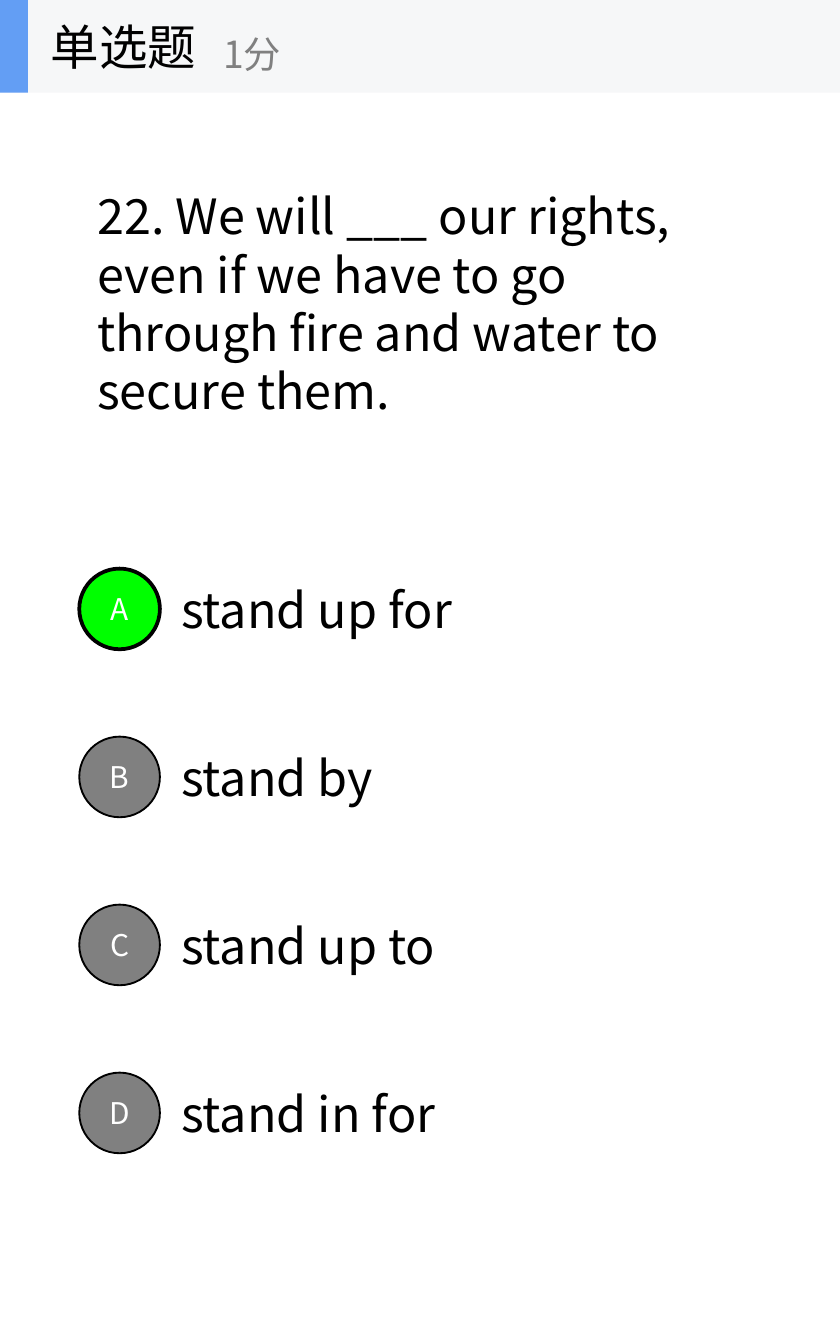
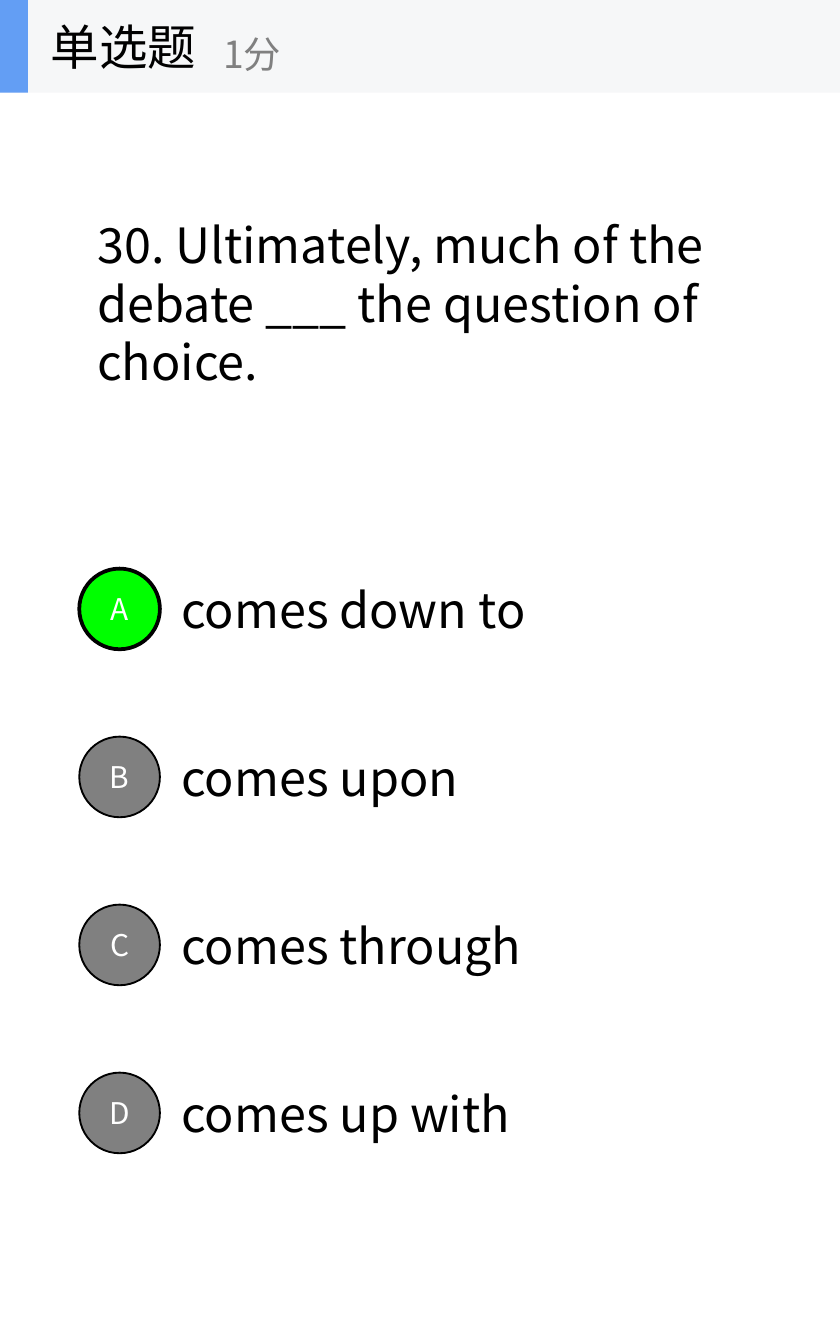
from pptx import Presentation
from pptx.dml.color import RGBColor
from pptx.enum import shapes, text
from pptx.oxml.ns import qn
from pptx.util import Inches, Pt

WIDTH, HEIGHT = 6.25, 10
COLUMN, ROW = WIDTH / 10, HEIGHT / 32
BAND = 0.69
BADGE = 0.6
FONT = "Noto Sans CJK SC"
BLACK, WHITE, GRAY = "000000", "FFFFFF", "808080"
BAND_FILL, ACCENT, CORRECT = "F6F7F8", "639EF4", "00FF00"

QUESTIONS = [
    ("22. We will ___ our rights, even if we have to go through fire and water to secure them.",
     ["stand up for", "stand by", "stand up to", "stand in for"]),
    ("30. Ultimately, much of the debate ___ the question of choice.",
     ["comes down to", "comes upon", "comes through", "comes up with"]),
]


def color(value):
    """Turn a hex string into a colour."""
    return RGBColor.from_string(value)


def write(shape, words, size, ink, align=text.PP_ALIGN.LEFT):
    """Put one vertically centred paragraph into a shape."""
    frame = shape.text_frame
    frame.word_wrap = True
    frame.vertical_anchor = text.MSO_ANCHOR.MIDDLE
    paragraph = frame.paragraphs[0]
    paragraph.alignment = align
    run = paragraph.add_run()
    run.text = words
    run.font.size = Pt(size)
    run.font.name = FONT
    run.font.color.rgb = color(ink)
    east_asian = run.font._element.makeelement(qn("a:ea"), {"typeface": FONT})
    run.font._element.append(east_asian)


def add_label(parent, box, words, size=26, ink=BLACK):
    """Add a text box."""
    shape = parent.shapes.add_textbox(*map(Inches, box))
    write(shape, words, size, ink)


def add_solid(parent, kind, box, fill, line_width=0):
    """Add a filled preset shape, outlined in black when a line width is given."""
    shape = parent.shapes.add_shape(kind, *map(Inches, box))
    shape.shadow.inherit = False
    shape.fill.solid()
    shape.fill.fore_color.rgb = color(fill)
    if line_width:
        shape.line.color.rgb = color(BLACK)
        shape.line.width = Pt(line_width)
    else:
        shape.line.fill.background()
    return shape


def add_header(slide):
    """Add the grouped band with question type and score."""
    group = slide.shapes.add_group_shape()
    rectangle = shapes.MSO_SHAPE.RECTANGLE
    add_solid(group, rectangle, (0, 0, WIDTH, BAND), BAND_FILL)
    add_solid(group, rectangle, (0, 0, COLUMN / 3, BAND), ACCENT)
    add_label(group, (0.28, 0, COLUMN * 10 / 3, BAND), "单选题")
    add_label(group, (2.5 * COLUMN, 0.12, 4 * COLUMN, 0.56), "1分", 20, GRAY)


def add_option(slide, index, words):
    """Add one answer with its lettered badge; the first answer is correct."""
    top, height = (13 + 4 * index) * ROW, 3 * ROW
    add_label(slide, (2 * COLUMN, top, 7 * COLUMN, height), words)
    box = (0.59, top + (height - BADGE) / 2, BADGE, BADGE)
    fill, line_width = (GRAY, 1) if index else (CORRECT, 2)
    badge = add_solid(slide, shapes.MSO_SHAPE.OVAL, box, fill, line_width)
    write(badge, "ABCD"[index], 16, WHITE, text.PP_ALIGN.CENTER)


def add_question_slide(presentation, question, options):
    """Add a slide with one question and its answers."""
    slide = presentation.slides.add_slide(presentation.slide_layouts[6])
    add_label(slide, (COLUMN, BAND, 8 * COLUMN, 10 * ROW), question)
    for index, words in enumerate(options):
        add_option(slide, index, words)
    add_header(slide)


def main():
    """Build and save the quiz."""
    presentation = Presentation()
    presentation.slide_width = Inches(WIDTH)
    presentation.slide_height = Inches(HEIGHT)
    for question, options in QUESTIONS:
        add_question_slide(presentation, question, options)
    presentation.save("out.pptx")


if __name__ == "__main__":
    main()
